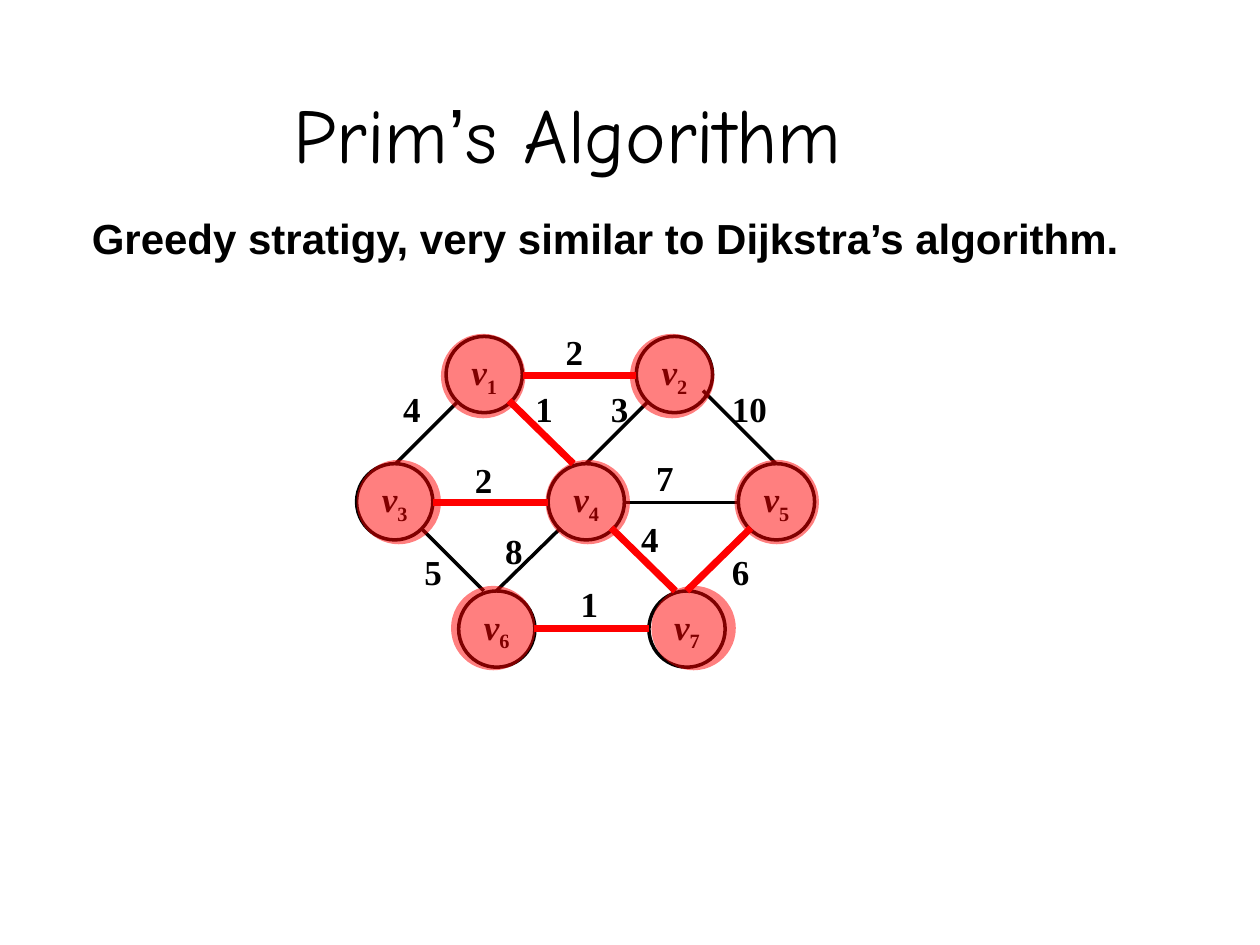
"""Builds a slide showing the minimum spanning tree that Prim's algorithm finds."""
from dataclasses import dataclass
from typing import Optional

from lxml.etree import SubElement
from pptx import Presentation
from pptx.dml.color import RGBColor
from pptx.enum.shapes import MSO_CONNECTOR, MSO_SHAPE
from pptx.enum.text import MSO_ANCHOR, PP_ALIGN
from pptx.oxml.ns import qn
from pptx.util import Inches, Pt


@dataclass(frozen=True)
class Theme:
    ink: RGBColor = RGBColor(0, 0, 0)
    tree: RGBColor = RGBColor(255, 0, 0)
    title_font: str = "Comic Neue"
    body_font: str = "Arial"
    graph_font: str = "Times New Roman"
    title_size: int = 44
    body_size: int = 24
    graph_size: int = 20
    edge_width: int = 2
    tree_width: int = 4
    halo_opacity: int = 50


@dataclass(frozen=True)
class Node:
    number: int
    row: int
    left: float
    halo_left: float


@dataclass(frozen=True)
class Edge:
    start: tuple[float, float]
    end: tuple[float, float]
    weight: str
    label_at: tuple[float, float]
    reaches: Optional[int] = None


THEME = Theme()
NODE_SIZE, NODE_TOP, ROW_GAP = 0.605, 2.67, 1.01
HALO_SIZE, HALO_TOP, HALO_GAP = 0.67, 2.65, 1.0

NODES = [
    Node(1, 0, 3.54, 3.5),
    Node(2, 0, 5.05, 5.0),
    Node(6, 2, 3.64, 3.58),
    Node(7, 2, 5.15, 5.17),
    Node(3, 1, 2.83, 2.83),
    Node(4, 1, 4.35, 4.33),
    Node(5, 1, 5.86, 5.83),
]
EDGES = [
    Edge((4.04, 3.18), (4.55, 3.68), "1", (4.15, 3.03), 4),
    Edge((4.15, 2.98), (5.05, 2.98), "2", (4.39, 2.57), 2),
    Edge((3.44, 3.99), (4.35, 3.99), "2", (3.67, 3.59), 3),
    Edge((4.85, 4.19), (5.36, 4.69), "4", (4.99, 4.06), 7),
    Edge((4.24, 4.99), (5.15, 4.99), "1", (4.51, 4.57), 6),
    Edge((5.96, 4.19), (5.45, 4.69), "6", (5.71, 4.32), 5),
    Edge((3.64, 3.18), (3.14, 3.68), "4", (3.1, 3.03)),
    Edge((5.15, 3.18), (4.65, 3.68), "3", (4.75, 3.03)),
    Edge((5.58, 3.1), (6.16, 3.68), "10", (5.71, 3.03)),
    Edge((4.95, 3.99), (5.86, 3.99), "7", (5.11, 3.57)),
    Edge((3.34, 4.19), (3.84, 4.69), "5", (3.27, 4.32)),
    Edge((4.45, 4.19), (3.94, 4.69), "8", (3.91, 4.15)),
]


def add_span(paragraph, text: str, font: str, size: int, bold: bool = False):
    """Append a formatted run to a paragraph and return it."""
    span = paragraph.add_run()
    span.text = text
    span.font.name = font
    span.font.size = Pt(size)
    span.font.bold = bold
    span.font.color.rgb = THEME.ink
    return span


def add_box(page, left: float, top: float, width: float, height: float, wrap: bool = True):
    """Add an empty text box and return its text frame."""
    box = page.shapes.add_textbox(Inches(left), Inches(top), Inches(width), Inches(height))
    box.text_frame.word_wrap = wrap
    return box.text_frame


def add_circle(page, left: float, top: float, size: float):
    """Add a circle without shadow."""
    circle = page.shapes.add_shape(
        MSO_SHAPE.OVAL, Inches(left), Inches(top), Inches(size), Inches(size))
    circle.shadow.inherit = False
    return circle


def add_title(page) -> None:
    """Write the slide title, with its apostrophe in the body font."""
    frame = add_box(page, 0.75, 0.17, 7.51, 1.3)
    frame.vertical_anchor = MSO_ANCHOR.BOTTOM
    paragraph = frame.paragraphs[0]
    paragraph.alignment = PP_ALIGN.CENTER
    for text, font in (("Prim", THEME.title_font), ("’", THEME.body_font),
                       ("s Algorithm", THEME.title_font)):
        add_span(paragraph, text, font, THEME.title_size)


def add_node(page, node: Node) -> None:
    """Draw an outlined vertex with its subscripted name."""
    circle = add_circle(page, node.left, NODE_TOP + node.row * ROW_GAP, NODE_SIZE)
    circle.fill.background()
    circle.line.color.rgb = THEME.ink
    circle.line.width = Pt(THEME.edge_width)
    frame = circle.text_frame
    frame.word_wrap = False
    frame.vertical_anchor = MSO_ANCHOR.MIDDLE
    paragraph = frame.paragraphs[0]
    paragraph.alignment = PP_ALIGN.CENTER
    letter = add_span(paragraph, "v", THEME.graph_font, THEME.graph_size, bold=True)
    letter.font.italic = True
    index = add_span(paragraph, str(node.number), THEME.graph_font, THEME.graph_size, bold=True)
    index.font._element.set("baseline", "-25000")


def add_edge(page, edge: Edge, color: RGBColor, width: int) -> None:
    """Draw an edge as a straight line."""
    line = page.shapes.add_connector(
        MSO_CONNECTOR.STRAIGHT, *map(Inches, edge.start + edge.end))
    line.line.color.rgb = color
    line.line.width = Pt(width)
    SubElement(line._element.spPr, qn("a:effectLst"))


def add_weight(page, edge: Edge) -> None:
    """Write the weight beside an edge."""
    width = 0.24 * (len(edge.weight) + 1)
    frame = add_box(page, *edge.label_at, width, 0.44)
    add_span(frame.paragraphs[0], edge.weight, THEME.graph_font, THEME.graph_size, bold=True)


def add_halo(page, node: Node) -> None:
    """Cover a visited vertex with a translucent disc."""
    halo = add_circle(page, node.halo_left, HALO_TOP + node.row * HALO_GAP, HALO_SIZE)
    halo.fill.solid()
    halo.fill.fore_color.rgb = THEME.tree
    halo.line.fill.background()
    color = halo._element.spPr.find(qn("a:solidFill")).find(qn("a:srgbClr"))
    SubElement(color, qn("a:alpha")).set("val", str(THEME.halo_opacity * 1000))


def main() -> None:
    """Build and save the deck."""
    deck = Presentation()
    deck.slide_width, deck.slide_height = Inches(10), Inches(7.5)
    page = deck.slides.add_slide(deck.slide_layouts[6])
    summary = add_box(page, 0.63, 1.64, 8.39, 0.5, wrap=False)
    add_span(summary.paragraphs[0], "Greedy stratigy, very similar to Dijkstra’s algorithm.",
             THEME.body_font, THEME.body_size, bold=True)
    add_title(page)
    for node in NODES:
        add_node(page, node)
    for edge in EDGES:
        add_edge(page, edge, THEME.ink, THEME.edge_width)
    for edge in EDGES:
        add_weight(page, edge)
    nodes = {node.number: node for node in NODES}
    add_halo(page, nodes[1])
    for edge in EDGES:
        if edge.reaches:
            add_edge(page, edge, THEME.tree, THEME.tree_width)
            add_halo(page, nodes[edge.reaches])
    deck.save("out.pptx")


if __name__ == "__main__":
    main()
